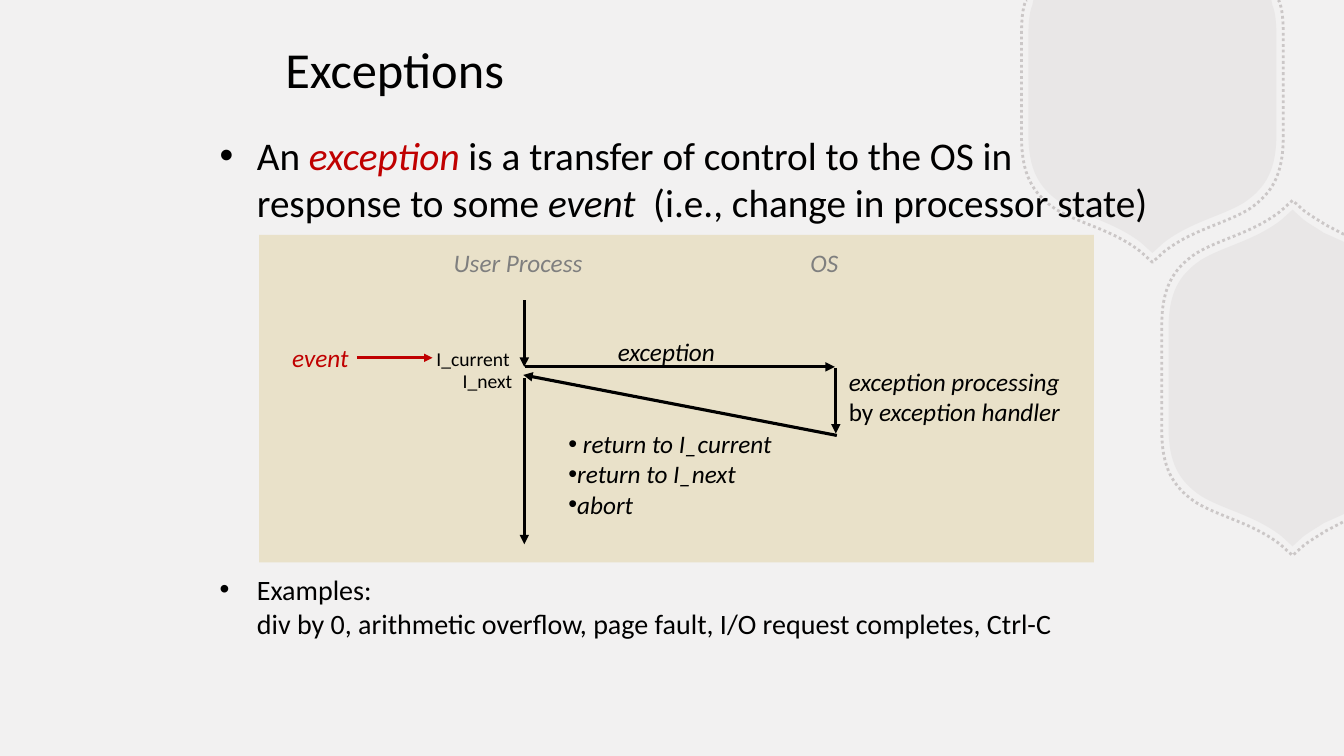
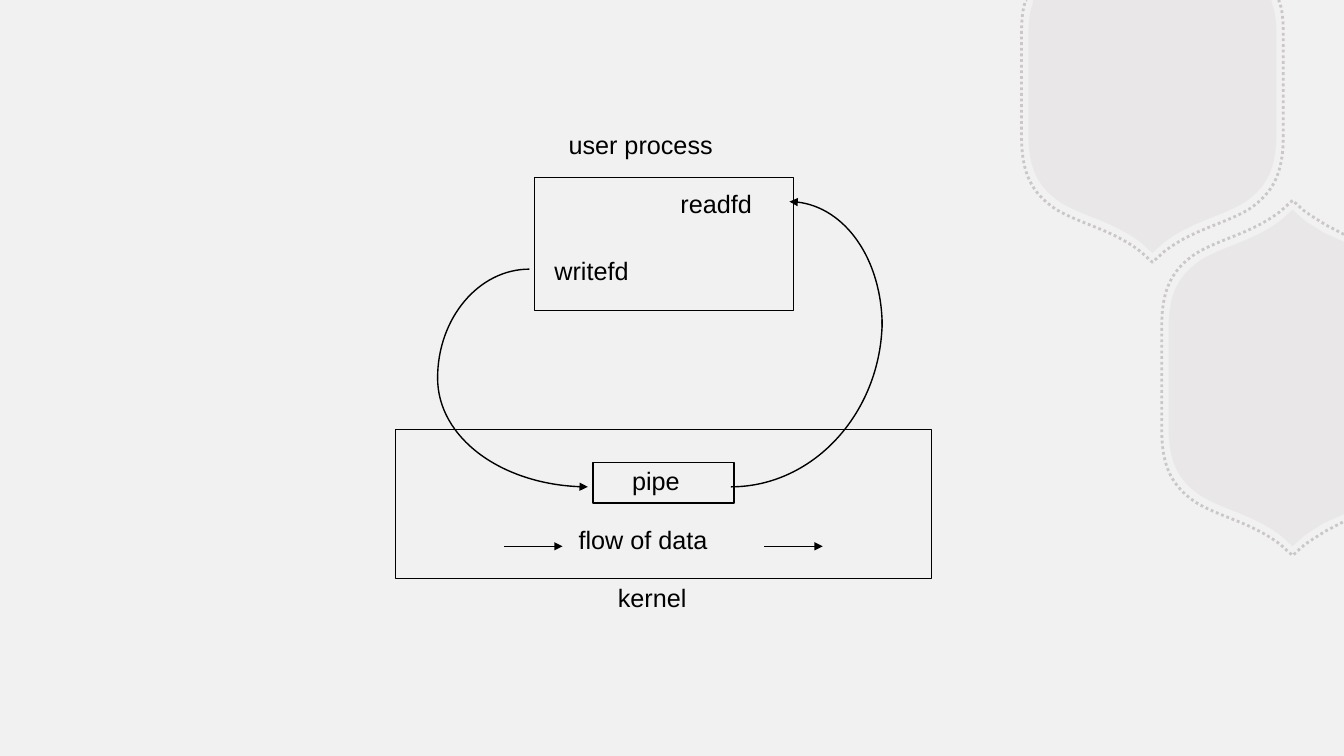
from lxml import etree
from pptx import Presentation, util as u
from pptx.dml.color import RGBColor
from pptx.enum import dml, shapes, text as t
from pptx.oxml.ns import qn

BLACK, RED, GREY = "000000", "C00000", "7F7F7F"
PAPER, SAND, STONE = "F2F1F1", "E9E1C9", "B8B2B2"
WIDE, HIGH = 13.33, 7.5
rgb = RGBColor.from_string


def paint(shape, fill=None, line=None, width=1, dash=None, alpha=None, arrow=False):
    """Set fill, line, arrowhead and opacity (percent), without a shadow."""
    props = shape.element.spPr
    if line:
        shape.line.color.rgb = rgb(line)
        shape.line.width = u.Pt(width)
        if dash:
            shape.line.dash_style = dash
        if arrow:
            etree.SubElement(props.find(qn("a:ln")), qn("a:tailEnd"), type="triangle")
    else:
        shape.line.fill.background()
    if fill:
        shape.fill.solid()
        shape.fill.fore_color.rgb = rgb(fill)
    elif hasattr(shape, "fill"):
        shape.fill.background()
    if hasattr(shape, "shadow"):
        shape.shadow.inherit = False
    else:
        etree.SubElement(props, qn("a:effectLst"))
    if alpha:
        for tint in props.iter(qn("a:srgbClr")):
            etree.SubElement(tint, qn("a:alpha"), val=str(alpha * 1000))


def text(page, box, paras, size=18, font="Calibri", color=BLACK, italic=False,
         wrap=False, bullet=False, indent=0):
    """Add a text box; a paragraph is a string or a list of (words, format) runs."""
    frame = page.shapes.add_textbox(*map(u.Inches, box)).text_frame
    frame.word_wrap = wrap
    for i, runs in enumerate(paras):
        para = frame.add_paragraph() if i else frame.paragraphs[0]
        if bullet:
            props = para._p.get_or_add_pPr()
            props.set("marL", str(u.Inches(indent)))
            props.set("indent", str(-u.Inches(indent)))
            etree.SubElement(props, qn("a:buFont"), typeface="Arial")
            etree.SubElement(props, qn("a:buChar"), char="•")
        for words, form in [(runs, {})] if isinstance(runs, str) else runs:
            for j, part in enumerate(words.split("\n")):
                if j:
                    para.add_line_break()
                run = para.add_run()
                run.text = part
                run.font.name, run.font.size = font, u.Pt(size)
                run.font.italic = form.get("italic", italic)
                run.font.color.rgb = rgb(form.get("color", color))


deck = Presentation()
deck.slide_width, deck.slide_height = u.Inches(WIDE), u.Inches(HIGH)
master = deck.slide_master
master.background.fill.solid()
master.background.fill.fore_color.rgb = rgb(PAPER)
first = deck.slides.add_slide(deck.slide_layouts[5])
second = deck.slides.add_slide(deck.slide_layouts[6])

# Hexagons with soft corners: half an outline from the slide's edge, then its mirror.
# Sizes tell how many points each piece takes: 1 for a line, 3 for a curve.
bend = [(1.23, 0.49), (1.23, 0.84), (1.13, 1.02), (0.91, 1.17),
        (0.68, 1.31), (0.38, 1.36), (0.11, 1.57)]
upper = [(1.18, -0.84), (1.19, -0.79), (1.22, -0.72), (1.23, -0.61), (1.23, -0.49)] + bend
lower = [(0.51, -1.35), (0.31, -1.44), (0.25, -1.48), (0.18, -1.52), (0.11, -1.57),
         (0, -1.67)] + [(-x, -y) for x, y in bend[::-1]]
looks = [(1, dict(fill=STONE, alpha=15)),
         (1.055, dict(line=STONE, width=2, dash=dml.MSO_LINE.ROUND_DOT, alpha=65))]
curves = []
for midx, midy, side, sizes, tip, flipx, flipy in [
        (11.43, 0.84, upper, [1, 3, 1, 3, 3], (0, 1.67), -1, 1),
        (12.82, 3.75, lower, [1, 3, 1, 1, 3, 3], (-1.23, 0), 1, -1)]:
    whole = side + [tip] + [(flipx * x, flipy * y) for x, y in side[::-1]]
    for scale, look in looks:
        dots = [(min(midx + scale * x, WIDE), max(midy + scale * y, 0)) for x, y in whole]
        curves.append((master, dots, sizes + [1, 1] + sizes[::-1], look))

# Quarter ellipses of slide 2, each from start to end around a corner
for start, corner, end, arrow in [
        ((4.34, 3.75), (4.34, 4.83), (5.83, 4.83), True),
        ((4.34, 3.75), (4.34, 2.67), (5.25, 2.67), False),
        ((8.75, 3.17), (8.75, 4.83), (7.25, 4.83), False),
        ((8.75, 3.25), (8.75, 2), (7.83, 2), True)]:
    pulls = [tuple(a + 0.55 * (c - a) for a, c in zip(spot, corner)) for spot in (start, end)]
    curves.append((second, [start, *pulls, end], [3], dict(line=BLACK, arrow=arrow)))

# Draw the outlines; those of the master are moved there
for mark, (page, dots, sizes, look) in enumerate(curves, 50):
    dots = [(u.Inches(x), u.Inches(y)) for x, y in dots]
    pen = second.shapes.build_freeform(*dots[0])
    pen.add_line_segments(dots[1:], close="fill" in look)
    shape = pen.convert_to_shape()
    paint(shape, **look)
    lines = iter(list(shape.element.spPr.iter(qn("a:lnTo"))))
    for size in sizes:
        piece = [next(lines) for _ in range(size)]
        if size == 3:
            piece[0].tag = qn("a:cubicBezTo")
            for extra in piece[1:]:
                piece[0].append(extra[0])
                extra.getparent().remove(extra)
    if page is master:
        shape.element.nvSpPr.cNvPr.id = mark
        master.shapes.element.insert(2, shape.element)

# Boxes of both slides
for page, box, look in [
        (first, (2.57, 2.33, 8.28, 3.25), dict(fill=SAND)),
        (second, (5.3, 1.76, 2.57, 1.32), dict(line=BLACK)),
        (second, (3.92, 4.26, 5.32, 1.48), dict(line=BLACK)),
        (second, (5.88, 4.59, 1.4, 0.4), dict(line=BLACK))]:
    paint(page.shapes.add_shape(shapes.MSO_SHAPE.RECTANGLE, *map(u.Inches, box)), **look)

# Straight arrows of both slides
for page, ends, color, width in [
        (first, (5.2, 2.98, 5.2, 3.64), BLACK, 2.25),
        (first, (5.21, 3.64, 8.28, 3.64), BLACK, 2.25),
        (first, (8.29, 3.65, 8.29, 4.3), BLACK, 2.25),
        (first, (8.3, 4.32, 5.19, 3.72), BLACK, 2.25),
        (first, (5.2, 3.75, 5.2, 5.4), BLACK, 2.25),
        (first, (3.54, 3.55, 4.29, 3.55), RED, 2),
        (second, (5, 5.42, 5.58, 5.42), BLACK, 1),
        (second, (7.58, 5.42, 8.16, 5.42), BLACK, 1)]:
    link = page.shapes.add_connector(shapes.MSO_CONNECTOR.STRAIGHT, *map(u.Inches, ends))
    paint(link, line=color, width=width, arrow=True)

# Slide 1: title and bullets
title = first.shapes.title
title.left, title.top, title.width, title.height = map(u.Inches, (2.08, 0.33, 3.67, 0.7))
title.text_frame.text = "Exceptions"
title.text_frame.auto_size = t.MSO_AUTO_SIZE.NONE
title.text_frame.vertical_anchor = t.MSO_ANCHOR.MIDDLE
para = title.text_frame.paragraphs[0]
para.alignment = t.PP_ALIGN.CENTER
para.font.name, para.font.size = "Calibri", u.Pt(36)
para.font.color.rgb = rgb(BLACK)

text(first, (2.08, 1.25, 9.5, 1.05), [[
    ("An ", {}), ("exception", dict(color=RED, italic=True)),
    (" is a transfer of control to the OS in response to some ", {}),
    ("event", dict(italic=True)), ("  (i.e., change in processor state)", {})]],
    size=28, wrap=True, bullet=True, indent=0.37)
text(first, (2.08, 5.63, 9.5, 0.78), [
    "Examples: \ndiv by 0, arithmetic overflow, page fault, I/O request completes, Ctrl-C"],
    size=20, wrap=True, bullet=True, indent=0.37)

# Slide 1: labels of the diagram
for words, x, y, wide, color in [
        ("User Process", 4.4, 2.4, 1.49, GREY), ("OS", 7.94, 2.4, 0.48, GREY),
        ("exception", 6.03, 3.29, 1.17, BLACK), ("event", 2.8, 3.35, 0.88, RED)]:
    text(first, (x, y, wide, 0.4), [words], color=color, italic=True)
for words, x, y, wide in [("I_current", 4.23, 3.39, 0.93), ("I_next", 4.49, 3.61, 0.7)]:
    text(first, (x, y, wide, 0.34), [words], size=14)
text(first, (8.32, 3.58, 2.35, 1.01), [
    "exception processing", [("by ", dict(italic=False)), ("exception handler", {})]],
    italic=True, wrap=True)
text(first, (5.54, 4.2, 2.24, 1.01), [" return to I_current", "return to I_next", "abort"],
     italic=True, bullet=True)

# Slide 2: labels
for words, x, y, wide in [
        ("user process", 5.54, 1.23, 1.65), ("readfd", 6.65, 1.82, 0.92),
        ("writefd", 5.4, 2.48, 0.95), ("pipe", 6.17, 4.57, 0.68),
        ("flow of data", 5.64, 5.15, 1.49), ("kernel", 6.03, 5.73, 0.89)]:
    text(second, (x, y, wide, 0.4), [words], font="Arial")

deck.save("out.pptx")
